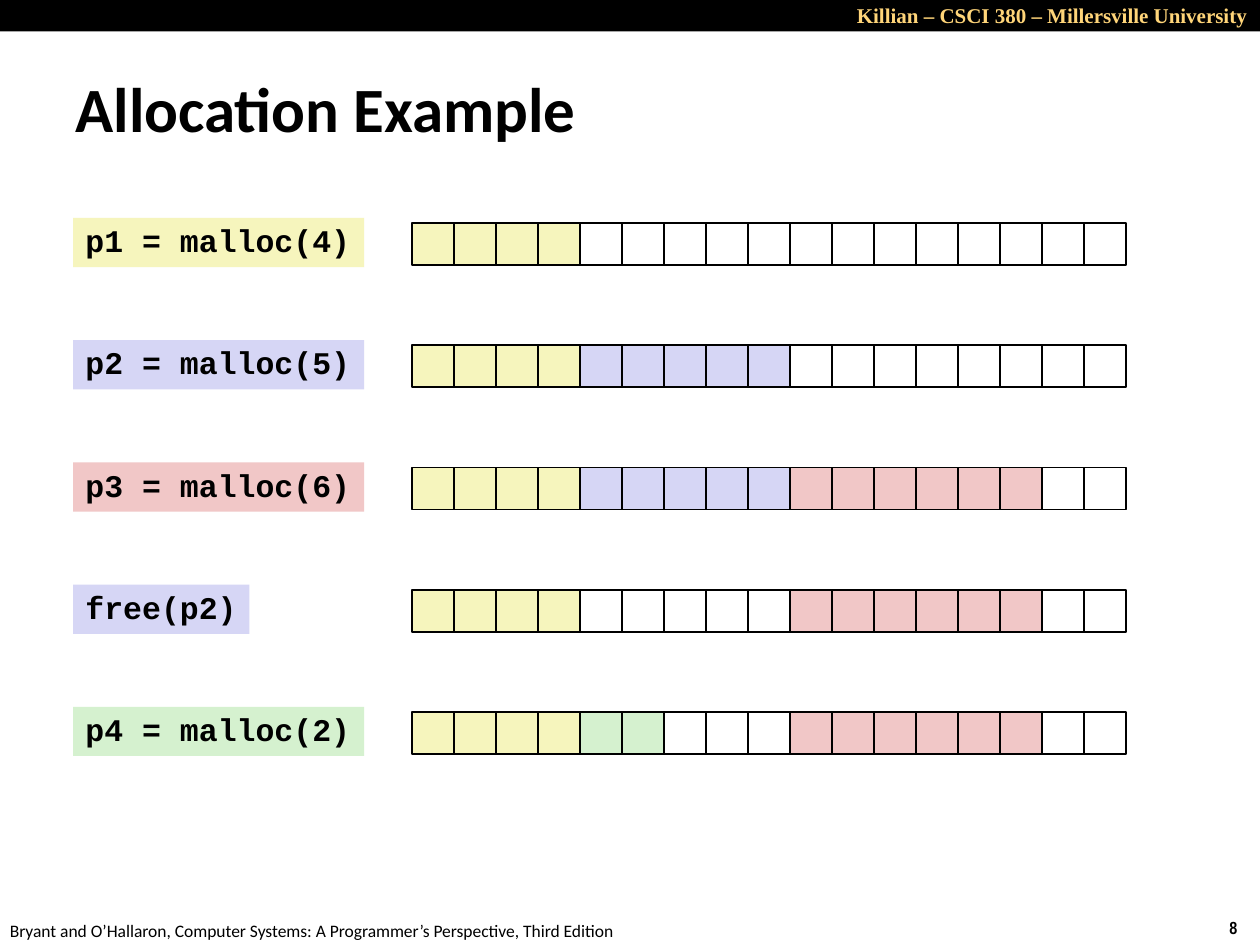
from dataclasses import dataclass

from pptx import Presentation
from pptx.dml.color import RGBColor
from pptx.enum.shapes import MSO_SHAPE as Preset
from pptx.enum.text import MSO_ANCHOR as Anchor, MSO_AUTO_SIZE as AutoSize, PP_ALIGN as Align
from pptx.util import Inches, Pt

COLOURS = {
    "ink": "000000",
    "free": "FFFFFF",
    "gold": "FFD579",
    "p1": "F6F5BD",
    "p2": "D6D6F5",
    "p3": "F1C7C7",
    "p4": "D5F1CF",
}

CELL = 1 / 3
HEAP_LEFT = 3.27
FIRST_ROW = 1.77
ROW_PITCH = 0.97
LABEL_LEFT = 0.58
LABEL_RISE = 0.04
LABEL_HEIGHT = 0.39


@dataclass(frozen=True)
class Box:
    left: float
    top: float
    width: float
    height: float

    def lengths(self) -> tuple:
        return tuple(Inches(value) for value in (self.left, self.top, self.width, self.height))


@dataclass(frozen=True)
class TextStyle:
    font: str
    size: float
    colour: str = "ink"
    bold: bool = True
    align: Align = Align.LEFT
    line_spacing: float = 1.0


@dataclass(frozen=True)
class Step:
    code: str
    owner: str
    label_width: float
    blocks: tuple


TITLE = TextStyle("Calibri", 36)
HEADER = TextStyle("Times New Roman", 12, colour="gold", align=Align.RIGHT)
PAGE_NUMBER = TextStyle("Arial Narrow", 10)
FOOTER = TextStyle("Calibri", 10, bold=False)
CODE = TextStyle("Courier New", 18, line_spacing=0.94)

STEPS = (
    Step("p1 = malloc(4)", "p1", 2.31, (("p1", 4), ("free", 13))),
    Step("p2 = malloc(5)", "p2", 2.31, (("p1", 4), ("p2", 5), ("free", 8))),
    Step("p3 = malloc(6)", "p3", 2.31, (("p1", 4), ("p2", 5), ("p3", 6), ("free", 2))),
    Step("free(p2)", "p2", 1.4, (("p1", 4), ("free", 5), ("p3", 6), ("free", 2))),
    Step("p4 = malloc(2)", "p4", 2.31,
         (("p1", 4), ("p4", 2), ("free", 3), ("p3", 6), ("free", 2))),
)


def colour(name: str) -> RGBColor:
    return RGBColor.from_string(COLOURS[name])


def write(shape, text: str, style: TextStyle, wrap: bool = False) -> None:
    frame = shape.text_frame
    frame.word_wrap = wrap
    paragraph = frame.paragraphs[0]
    paragraph.alignment = style.align
    paragraph.line_spacing = style.line_spacing
    run = paragraph.add_run()
    run.text = text
    run.font.name = style.font
    run.font.size = Pt(style.size)
    run.font.bold = style.bold
    run.font.color.rgb = colour(style.colour)


def add_rectangle(shapes, box: Box, fill: str, outlined: bool = False):
    shape = shapes.add_shape(Preset.RECTANGLE, *box.lengths())
    shape.shadow.inherit = False
    shape.fill.solid()
    shape.fill.fore_color.rgb = colour(fill)
    if outlined:
        shape.line.color.rgb = colour("ink")
        shape.line.width = Pt(1)
    else:
        shape.line.fill.background()
    return shape


def add_text(slide, box: Box, text: str, style: TextStyle, wrap: bool = False) -> None:
    shape = slide.shapes.add_textbox(*box.lengths())
    write(shape, text, style, wrap)


def add_heap(slide, top: float, blocks: tuple) -> None:
    group = slide.shapes.add_group_shape()
    owners = [owner for owner, count in blocks for _ in range(count)]
    for column, owner in enumerate(owners):
        box = Box(HEAP_LEFT + column * CELL, top, CELL, CELL)
        add_rectangle(group.shapes, box, owner, outlined=True)


def add_step(slide, row: int, step: Step) -> None:
    top = FIRST_ROW + row * ROW_PITCH
    add_heap(slide, top, step.blocks)
    box = Box(LABEL_LEFT, top - LABEL_RISE, step.label_width, LABEL_HEIGHT)
    label = add_rectangle(slide.shapes, box, step.owner)
    label.text_frame.vertical_anchor = Anchor.TOP
    write(label, step.code, CODE)


def add_title(slide, box: Box, text: str) -> None:
    title = slide.shapes.title
    title.left, title.top, title.width, title.height = box.lengths()
    title.text_frame.auto_size = AutoSize.NONE
    title.text_frame.vertical_anchor = Anchor.MIDDLE
    write(title, text, TITLE, wrap=True)


def main() -> None:
    presentation = Presentation()
    presentation.slide_width = Inches(10)
    presentation.slide_height = Inches(7.5)
    slide = presentation.slides.add_slide(presentation.slide_layouts[5])

    add_rectangle(slide.shapes, Box(0, 0, 10, 0.25), "ink")
    add_text(slide, Box(6.08, -0.03, 3.92, 0.3),
             "Killian – CSCI 380 – Millersville University", HEADER, wrap=True)
    add_text(slide, Box(9.66, 7.23, 0.34, 0.27), "8", PAGE_NUMBER)
    add_text(slide, Box(-0.02, 7.25, 5.08, 0.27),
             "Bryant and O’Hallaron, Computer Systems: A Programmer’s Perspective, Third Edition",
             FOOTER)
    add_title(slide, Box(0.5, 0.54, 7.07, 0.63), "Allocation Example")
    for row, step in enumerate(STEPS):
        add_step(slide, row, step)

    presentation.save("out.pptx")


if __name__ == "__main__":
    main()
